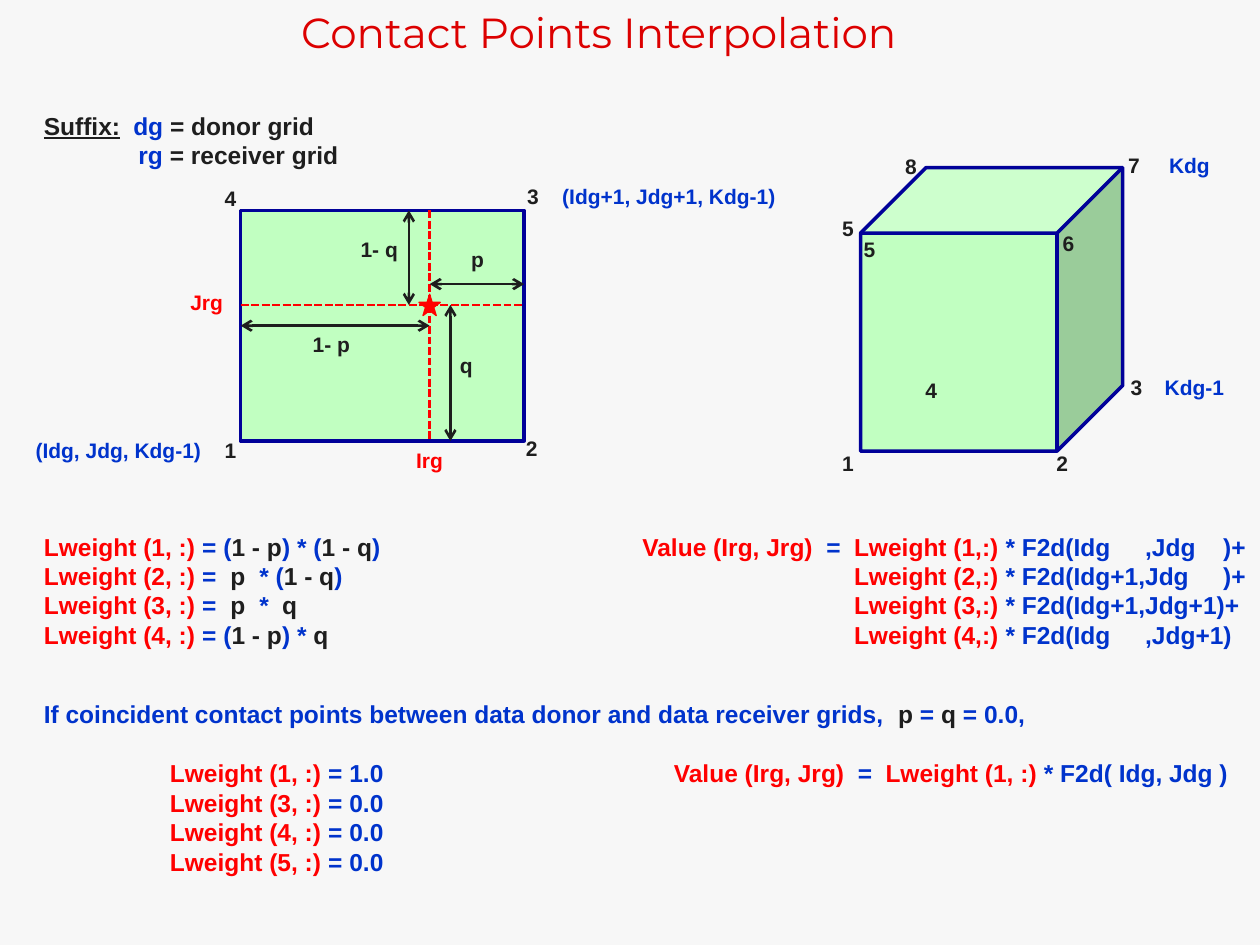
from lxml import etree
from pptx import Presentation
from pptx.dml.color import RGBColor
from pptx.enum.dml import MSO_LINE
from pptx.enum.shapes import MSO_CONNECTOR, MSO_SHAPE
from pptx.enum.text import MSO_ANCHOR, PP_ALIGN
from pptx.oxml.ns import qn
from pptx.util import Inches, Pt

STRAIGHT = MSO_CONNECTOR.STRAIGHT
RECTANGLE, CUBE, STAR = MSO_SHAPE.RECTANGLE, MSO_SHAPE.CUBE, MSO_SHAPE.STAR_5_POINT
DASHED = MSO_LINE.SQUARE_DOT
LEFT, CENTER = PP_ALIGN.LEFT, PP_ALIGN.CENTER
TOP, MIDDLE = MSO_ANCHOR.TOP, MSO_ANCHOR.MIDDLE

COLORS = {
    "background": "F7F7F7", "title": "DC0000", "red": "FF0000",
    "blue": "0033CC", "ink": "1E1E1E", "green": "C1FFC1", "navy": "010199",
}


def color(name):
    return RGBColor.from_string(COLORS[name])


class SlideBuilder:
    body_font, title_font = "Arial", "Montserrat"
    text_size, label_size, title_size = 14, 12, 24

    def __init__(self, deck):
        self.slide = deck.slides.add_slide(deck.slide_layouts[5])
        fill = self.slide.background.fill
        fill.solid()
        fill.fore_color.rgb = color("background")

    def title(self, text, left, top, width, height):
        box = self.slide.shapes.title
        box.left, box.top = Inches(left), Inches(top)
        box.width, box.height = Inches(width), Inches(height)
        box.text_frame.text = text
        box.text_frame.vertical_anchor = MIDDLE
        para = box.text_frame.paragraphs[0]
        para.alignment = LEFT
        para.font.name = self.title_font
        para.font.size = Pt(self.title_size)
        para.font.color.rgb = color("title")

    def text(self, rows, left, top, width, height, stops=(), size=text_size,
             align=LEFT, wrap=True):
        """Each row is a list of (text, color name, optional underline) spans."""
        box = self.slide.shapes.add_textbox(
            Inches(left), Inches(top), Inches(width), Inches(height))
        frame = box.text_frame
        frame.word_wrap = wrap
        frame.vertical_anchor = TOP
        frame.margin_right = 0 if align == LEFT else Inches(0.1)
        for index, row in enumerate(rows):
            para = frame.add_paragraph() if index else frame.paragraphs[0]
            self.tabs(para, stops)
            para.alignment = align
            para.line_spacing = Pt(size * 1.2)
            para.font.name = self.body_font
            para.font.size = Pt(size)
            para.font.bold = True
            for words, name, *underline in row:
                span = para.add_run()
                span.text = words
                span.font.color.rgb = color(name)
                if underline:
                    span.font.underline = True

    def tabs(self, para, stops):
        if stops:
            tab_list = etree.SubElement(para._p.get_or_add_pPr(), qn("a:tabLst"))
            for position in stops:
                etree.SubElement(tab_list, qn("a:tab"),
                                 pos=str(Inches(position)), algn="l")

    def label(self, words, center, top, name="ink", width=0.7):
        self.text([[(words, name)]], center - width / 2, top, width, 0.3,
                  size=self.label_size, align=CENTER, wrap=False)

    def shape(self, kind, left, top, width, height, fill, line, weight):
        shape = self.slide.shapes.add_shape(
            kind, Inches(left), Inches(top), Inches(width), Inches(height))
        shape.shadow.inherit = False
        shape.fill.solid()
        shape.fill.fore_color.rgb = color(fill)
        shape.line.color.rgb = color(line)
        shape.line.width = Pt(weight)

    def line(self, start, end, name, dash=None, arrows=False):
        line = self.slide.shapes.add_connector(
            STRAIGHT, *(Inches(value) for value in start + end))
        line.line.color.rgb = color(name)
        line.line.width = Pt(1.5)
        if dash:
            line.line.dash_style = dash
        if arrows:
            for tag in ("a:headEnd", "a:tailEnd"):
                etree.SubElement(line.line._get_or_add_ln(), qn(tag), type="arrow")
        etree.SubElement(line._element.spPr, qn("a:effectLst"))


def main():
    deck = Presentation()
    deck.slide_width, deck.slide_height = Inches(10), Inches(7.5)
    page = SlideBuilder(deck)
    page.title("Contact Points Interpolation", 2.29, 0, 5.42, 0.5)

    # Suffix legend: the second stop lines up the ends of dg and rg
    page.text([
        [("Suffix:", "ink", True), ("\tdg ", "blue"), ("= donor grid", "ink")],
        [("\t\trg ", "blue"), ("= receiver grid", "ink")],
    ], 0.25, 0.83, 2.8, 0.57, stops=[0.71, 0.75])

    # Donor cell with the receiver point inside
    left, top, right, bottom = 1.91, 1.67, 4.16, 3.5
    point_x, point_y, star = 3.41, 2.42, 0.17
    page.shape(RECTANGLE, left, top, right - left, bottom - top, "green", "navy", 2)
    page.line((left, point_y), (right, point_y), "red", dash=DASHED)
    page.line((point_x, top), (point_x, bottom), "red", dash=DASHED)
    page.shape(STAR, point_x - star / 2, point_y - star / 2, star, star,
               "red", "red", 0.75)

    # Distances p, q and their complements
    gap = 0.165
    for start, end in [
        ((point_x + gap, point_y), (point_x + gap, bottom)),
        ((left, point_y + gap), (point_x, point_y + gap)),
        ((point_x, point_y - gap), (right, point_y - gap)),
        ((point_x - gap, top), (point_x - gap, point_y)),
    ]:
        page.line(start, end, "ink", arrows=True)

    # Donor cell labels
    for words, center, label_top in [
        ("1", 1.83, 3.42), ("2", 4.22, 3.41), ("3", 4.23, 1.41), ("4", 1.83, 1.42),
        ("q", 3.7, 2.75), ("1- q", 3.01, 1.83), ("1- p", 2.63, 2.58), ("p", 3.79, 1.91),
    ]:
        page.label(words, center, label_top)
    page.label("Irg", point_x, bottom, "red")
    page.label("Jrg", 1.64, 2.25, "red")
    page.label("(Idg+1, Jdg+1, Kdg-1)", 5.31, 1.41, "blue", 2)
    page.label("(Idg, Jdg, Kdg-1)", 0.94, 3.42, "blue", 1.6)

    # Donor cube
    page.shape(CUBE, 6.83, 1.33, 2.08, 2.25, "green", "navy", 2)
    for words, center, label_top in [
        ("1", 6.73, 3.53), ("2", 8.43, 3.53), ("3", 9.02, 2.92), ("4", 7.39, 2.95),
        ("5", 6.73, 1.66), ("5", 6.9, 1.83), ("6", 8.48, 1.78), ("7", 9, 1.16),
        ("8", 7.23, 1.17),
    ]:
        page.label(words, center, label_top)
    page.label("Kdg", 9.44, 1.16, "blue")
    page.label("Kdg-1", 9.48, 2.92, "blue", 0.8)

    # Weights
    p, q = ("p", "ink"), ("q", "ink")
    one_p, one_q = ("1 - p", "ink"), ("1 - q", "ink")
    products = [
        [("= (", "blue"), one_p, (") * (", "blue"), one_q, (")", "blue")],
        [("=\t", "blue"), p, ("\t* (", "blue"), one_q, (")", "blue")],
        [("=\t", "blue"), p, ("\t*\t", "blue"), q],
        [("= (", "blue"), one_p, (") * ", "blue"), q],
    ]
    page.text([[(f"Lweight ({number}, :) ", "red")] + product
               for number, product in enumerate(products, 1)],
              0.25, 4.17, 4.5, 1.04, stops=[1.48, 1.71, 1.89])

    # Interpolated value
    value = [("Value (Irg, Jrg)", "red"), ("\t=", "blue")]
    value_stops = [1.46, 1.68]
    terms = ["Idg\t,Jdg\t)+", "Idg+1,Jdg\t)+", "Idg+1,Jdg+1)+", "Idg\t,Jdg+1)"]
    page.text([(value if number == 1 else [("\t", "blue")])
               + [(f"\tLweight ({number},:) ", "red"), (f"* F2d({term}", "blue")]
               for number, term in enumerate(terms, 1)],
              5, 4.17, 5, 1.04, stops=value_stops + [3.99, 4.61])

    # Coincident contact points
    page.text([[
        ("If coincident contact points between data donor and data receiver grids,",
         "blue"),
        ("\tp ", "ink"), ("= ", "blue"), ("q ", "ink"), ("= 0.0,", "blue"),
    ]], 0.25, 5.5, 9.5, 0.33, stops=[6.78])
    page.text([[(f"Lweight ({number}, :) ", "red"), (f"= {weight}", "blue")]
               for number, weight in [(1, "1.0"), (3, "0.0"), (4, "0.0"), (5, "0.0")]],
              1.25, 5.97, 2.5, 1.04)
    page.text([value + [("\tLweight (1, :) ", "red"), ("* F2d( Idg, Jdg )", "blue")]],
              5.25, 5.97, 4.7, 0.33, stops=value_stops)

    deck.save("out.pptx")


if __name__ == "__main__":
    main()
